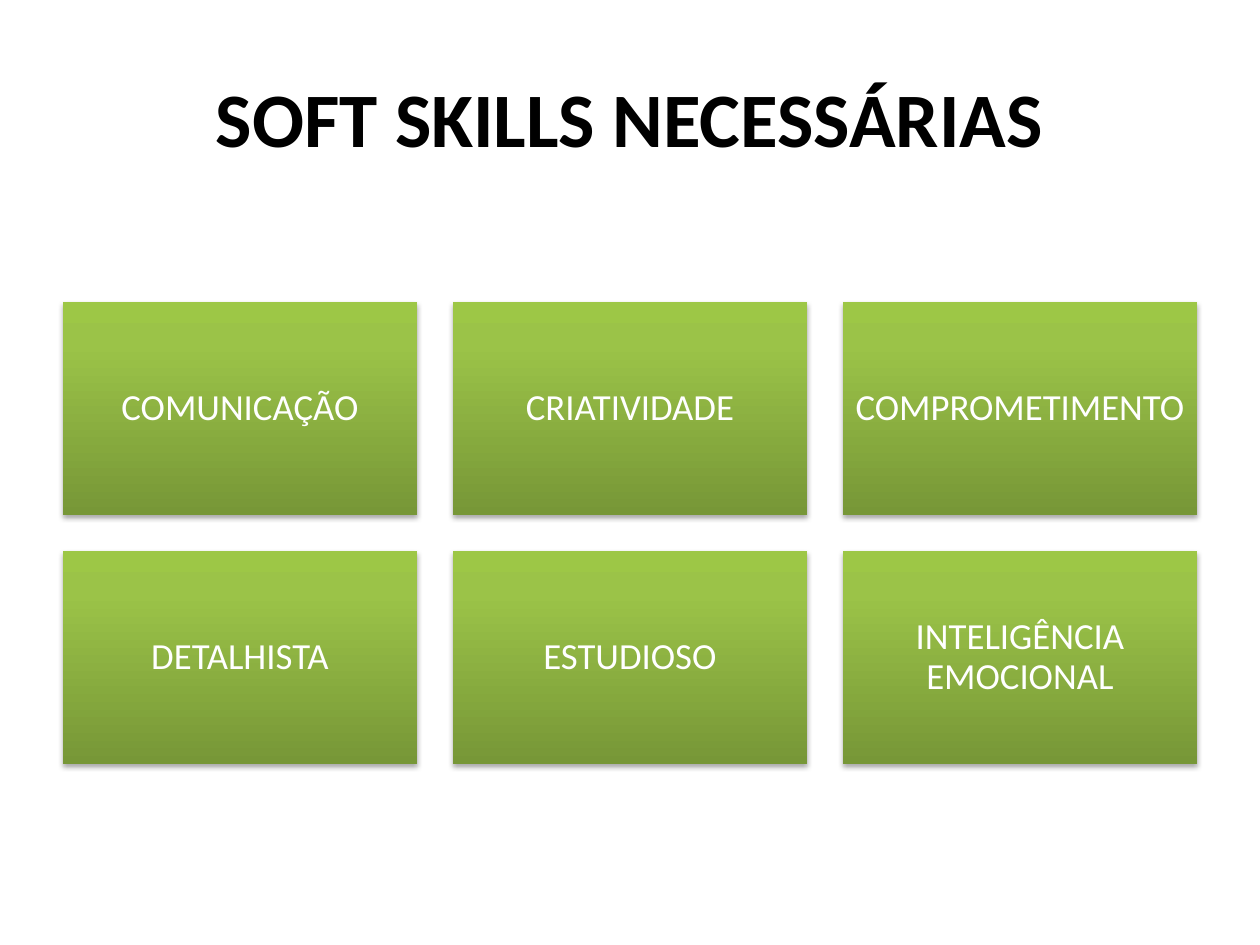
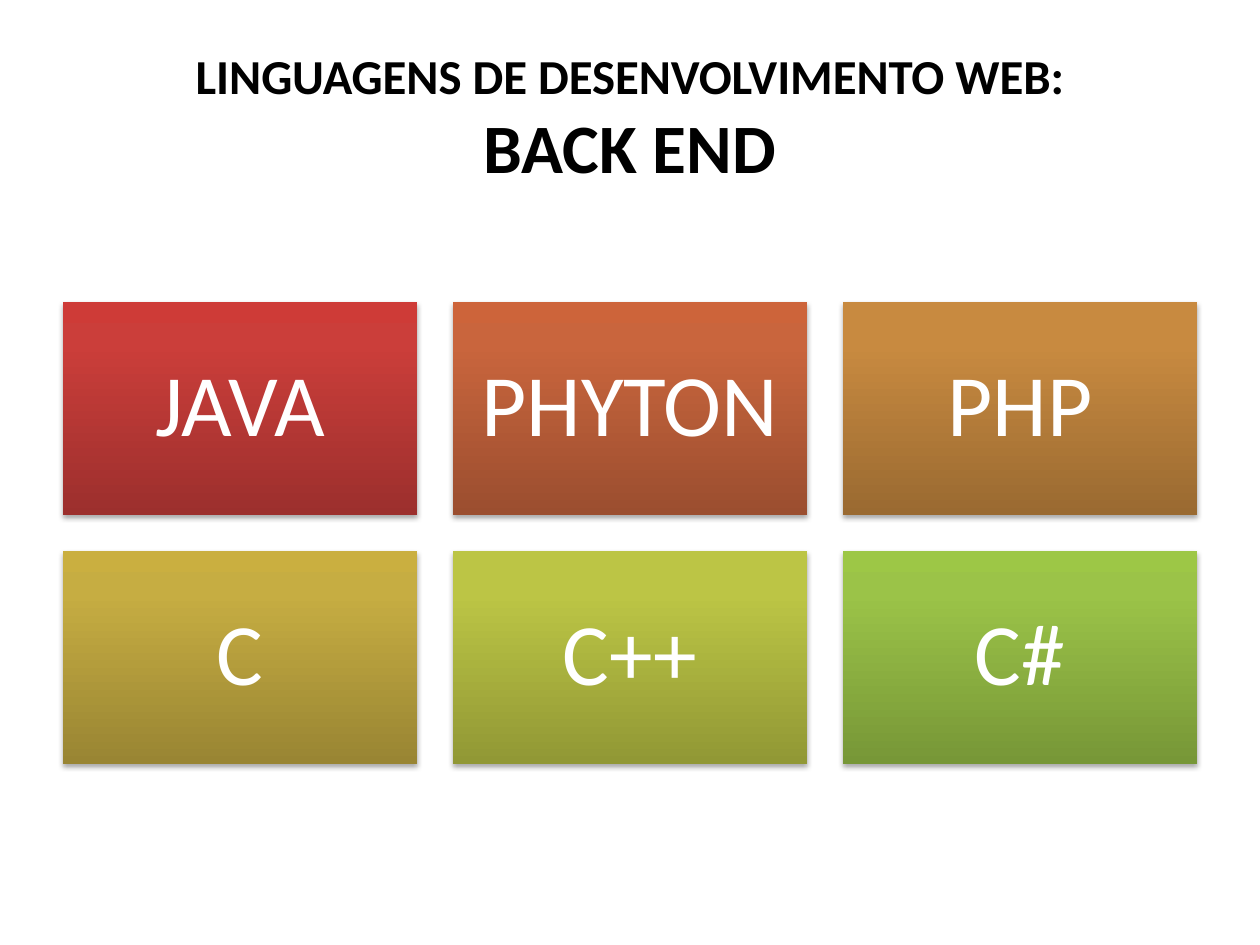
from copy import deepcopy

from lxml import etree
from pptx import Presentation
from pptx.dml.color import RGBColor
from pptx.enum.shapes import MSO_SHAPE
from pptx.enum.text import MSO_ANCHOR, MSO_AUTO_SIZE, PP_ALIGN
from pptx.oxml.ns import qn
from pptx.util import Emu, Pt

RECT = MSO_SHAPE.RECTANGLE
MIDDLE = MSO_ANCHOR.MIDDLE
CENTER = PP_ALIGN.CENTER
FIXED = MSO_AUTO_SIZE.NONE

FONT = "Calibri"
BLACK = RGBColor(0x00, 0x00, 0x00)
WHITE = RGBColor(0xFF, 0xFF, 0xFF)


def shades(*codes):
    return tuple(RGBColor.from_string(code) for code in codes)


RED = shades("9C2F2D", "CB3E3A", "CE3B37")
RUST = shades("9B4E2F", "C9653D", "CD643A")
OCHRE = shades("9A6A31", "C88A40", "CB8B3D")
GOLD = shades("998533", "C6AD42", "CAAF40")
LIME = shades("919835", "BCC545", "BFC843")
GREEN = shades("779737", "9BC348", "9DC746")
STOPS = (0, 0.8, 1)

SLIDES = [
    {
        "title": [("SOFT SKILLS NECESSÁRIAS", 44)],
        "cards": ["COMUNICAÇÃO", "CRIATIVIDADE", "COMPROMETIMENTO",
                  "DETALHISTA", "ESTUDIOSO", "INTELIGÊNCIA EMOCIONAL"],
        "fills": [GREEN] * 6,
        "size": 21,
        "inset": 11,
    },
    {
        "title": [("LINGUAGENS DE DESENVOLVIMENTO WEB:", 27.9), ("BACK END", 39.6)],
        "cards": ["JAVA", "PHYTON", "PHP", "C", "C++", "C#"],
        "fills": [RED, RUST, OCHRE, GOLD, LIME, GREEN],
        "size": 50,
        "inset": 26,
    },
]

PAGE = (1260, 945)
TITLE = (63, 38, 1134, 157)
LEFT, TOP = 63, 302
WIDTH, HEIGHT = 354, 213
GAP = 36
COLS = 3


def px(count):
    return Emu(count * 914400 // 126)


def style(run, size, color, bold=False):
    run.font.name = FONT
    run.font.size = Pt(size)
    run.font.bold = bold
    run.font.color.rgb = color


def add_title(slide, lines):
    title = slide.shapes.title
    title.left, title.top, title.width, title.height = map(px, TITLE)
    frame = title.text_frame
    frame.auto_size = FIXED
    frame.vertical_anchor = MIDDLE
    para = frame.paragraphs[0]
    para.text = "\v".join(text for text, size in lines)
    para.alignment = CENTER
    for run, (text, size) in zip(para.runs, lines):
        style(run, size, BLACK, True)


def paint(card, colors):
    card.fill.gradient()
    card.fill.gradient_angle = 90
    first = card.element.spPr.find(".//" + qn("a:gs"))
    first.addnext(deepcopy(first))
    for stop, place, color in zip(card.fill.gradient_stops, STOPS, colors):
        stop.position = place
        stop.color.rgb = color
    card.line.fill.background()


def add_shadow(card):
    card.shadow.inherit = False
    effects = card.element.spPr.find(qn("a:effectLst"))
    outer = etree.SubElement(effects, qn("a:outerShdw"), blurRad="40000",
                             dist="23000", dir="5400000", rotWithShape="0")
    color = etree.SubElement(outer, qn("a:srgbClr"), val=str(BLACK))
    etree.SubElement(color, qn("a:alpha"), val="35000")


def add_card(slide, index, text, colors, size, inset):
    row, col = divmod(index, COLS)
    box = (LEFT + col * (WIDTH + GAP), TOP + row * (HEIGHT + GAP), WIDTH, HEIGHT)
    card = slide.shapes.add_shape(RECT, *map(px, box))
    paint(card, colors)
    add_shadow(card)
    frame = card.text_frame
    frame.word_wrap = True
    frame.vertical_anchor = MIDDLE
    frame.margin_left = frame.margin_right = px(inset)
    frame.margin_top = frame.margin_bottom = px(inset)
    para = frame.paragraphs[0]
    para.text = text
    para.alignment = CENTER
    para.line_spacing = 0.9
    style(para.runs[0], size, WHITE)


def main():
    deck = Presentation()
    deck.slide_width, deck.slide_height = map(px, PAGE)
    for page in SLIDES:
        slide = deck.slides.add_slide(deck.slide_layouts[5])
        add_title(slide, page["title"])
        for index, (text, colors) in enumerate(zip(page["cards"], page["fills"])):
            add_card(slide, index, text, colors, page["size"], page["inset"])
    deck.save("out.pptx")


if __name__ == "__main__":
    main()
